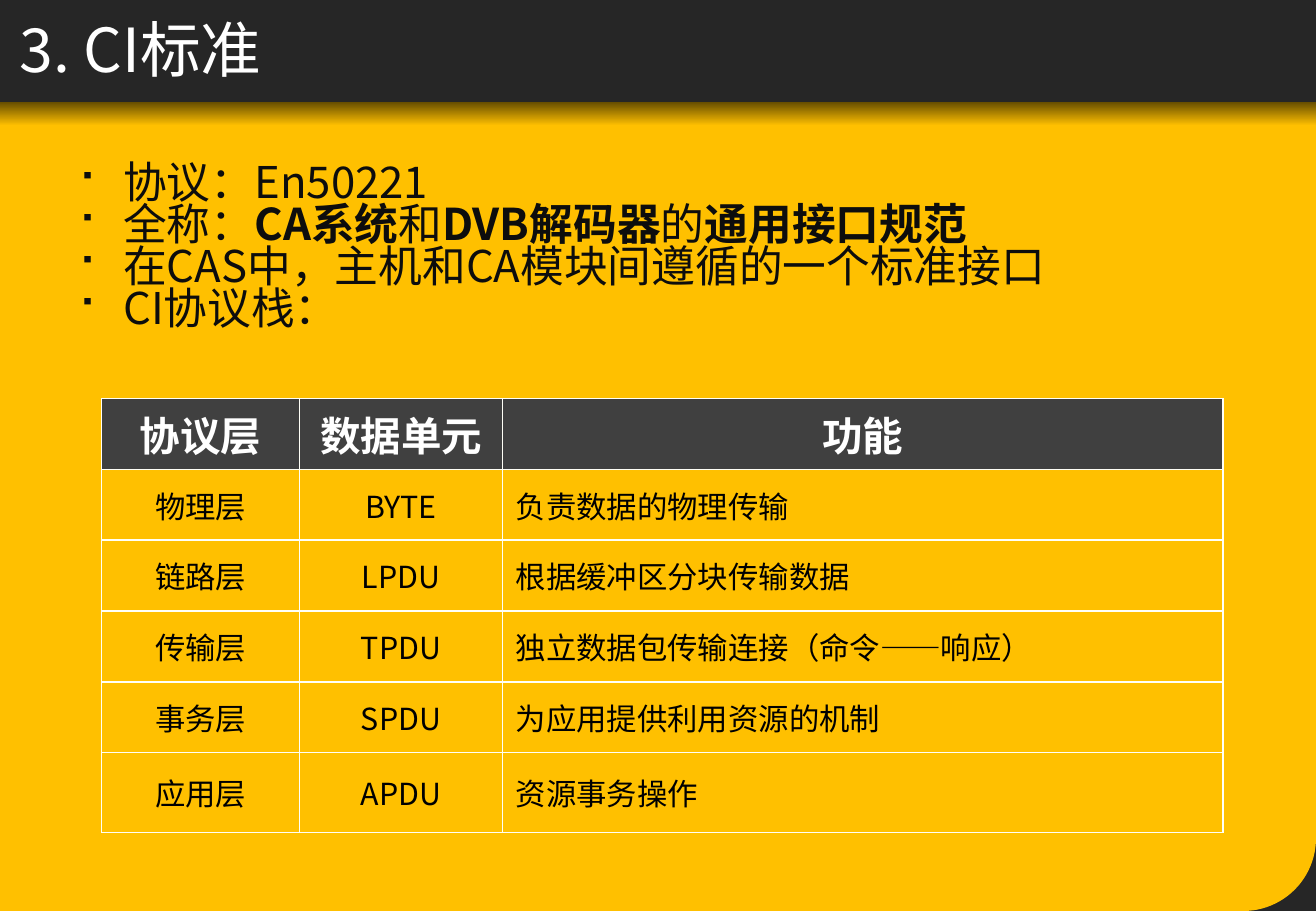
from lxml.etree import SubElement
from pptx import Presentation
from pptx.dml.color import RGBColor
from pptx.enum.shapes import MSO_SHAPE
from pptx.enum.text import MSO_ANCHOR, PP_ALIGN
from pptx.oxml.ns import qn
from pptx.util import Pt

COLORS = {
    "page": "FFFBFB", "dark": "262626", "gold": "FFC000", "shade": "664D00",
    "ink": "0D0D0D", "heading": "404040", "white": "FFFFFF", "black": "000000",
    "border": "FFFFF7",
}
FONT = "Noto Sans CJK SC"
WIDTH, HEIGHT, BAND = 780, 540, 60.5

BULLETS = [
    [("协议：En50221", False)],
    [("全称：", False), ("CA系统", True), ("和", False), ("DVB解码器", True),
     ("的", False), ("通用接口规范", True)],
    [("在CAS中，主机和CA模块间遵循的一个标准接口", False)],
    [("CI协议栈：", False)],
]
LAYERS = [
    ("协议层", "数据单元", "功能"),
    ("物理层", "BYTE", "负责数据的物理传输"),
    ("链路层", "LPDU", "根据缓冲区分块传输数据"),
    ("传输层", "TPDU", "独立数据包传输连接（命令——响应）"),
    ("事务层", "SPDU", "为应用提供利用资源的机制"),
    ("应用层", "APDU", "资源事务操作"),
]


def color(name):
    return RGBColor.from_string(COLORS[name])


def add_span(para, text, size, ink, bold=False):
    span = para.add_run()
    span.text = text
    span.font.size = Pt(size)
    span.font.bold = bold
    span.font.color.rgb = color(ink)
    span.font.name = FONT
    SubElement(span.font._element, qn("a:ea"), typeface=FONT)


def add_block(page, kind, box, fill):
    block = page.shapes.add_shape(kind, *map(Pt, box))
    block.shadow.inherit = False
    block.line.fill.background()
    block.fill.solid()
    block.fill.fore_color.rgb = color(fill)
    return block


def add_backdrop(page, box):
    left, top, width, height = box
    body = (left, top + BAND, width, height - BAND)
    add_block(page, MSO_SHAPE.RECTANGLE, body, "dark")
    panel = add_block(page, MSO_SHAPE.ROUND_1_RECTANGLE, body, "gold")
    panel.adjustments[0] = 0.09
    panel.rotation = 180
    panel._element.spPr.xfrm.set("flipH", "1")
    shade = add_block(page, MSO_SHAPE.RECTANGLE, (left, top + BAND, width, 14), "gold")
    shade.fill.gradient()
    shade.fill.gradient_angle = 270
    for stop, name, position in zip(shade.fill.gradient_stops, ("shade", "gold"), (0, 1)):
        stop.color.rgb = color(name)
        stop.position = position
    add_block(page, MSO_SHAPE.RECTANGLE, (left, top, width, BAND), "dark")


def add_title(page, box, text):
    title = page.shapes.title
    page.shapes._spTree.append(title._element)
    title.left, title.top, title.width, title.height = map(Pt, box)
    title.text_frame.vertical_anchor = MSO_ANCHOR.MIDDLE
    para = title.text_frame.paragraphs[0]
    para.alignment = PP_ALIGN.LEFT
    add_span(para, text, 36, "white")


def add_bullets(page, box, items):
    frame = page.shapes.add_textbox(*map(Pt, box)).text_frame
    frame.word_wrap = True
    for index, item in enumerate(items):
        para = frame.add_paragraph() if index else frame.paragraphs[0]
        para.line_spacing = 0.8
        properties = para._p.get_or_add_pPr()
        properties.set("marL", str(Pt(27)))
        properties.set("indent", str(-Pt(27)))
        SubElement(properties, qn("a:buFont"), typeface="Wingdings")
        SubElement(properties, qn("a:buChar"), char="■")
        for text, bold in item:
            add_span(para, text, 25.9, "ink", bold=bold)


def add_borders(cell):
    properties = cell._tc.get_or_add_tcPr()
    for index, side in enumerate(("lnL", "lnR", "lnT", "lnB")):
        line = properties.makeelement(qn(f"a:{side}"), {"w": str(Pt(1))})
        fill = SubElement(line, qn("a:solidFill"))
        SubElement(fill, qn("a:srgbClr"), val=COLORS["border"])
        properties.insert(index, line)


def add_layer_table(page, box, rows):
    table = page.shapes.add_table(len(rows), len(rows[0]), *map(Pt, box)).table
    for column, width in zip(table.columns, (117.4, 120.2, 427)):
        column.width = Pt(width)
    for row, height in zip(table.rows, [42] * 5 + [47.2]):
        row.height = Pt(height)
    for row_index, texts in enumerate(rows):
        header = row_index == 0
        for column_index, text in enumerate(texts):
            cell = table.cell(row_index, column_index)
            cell.margin_left = cell.margin_right = Pt(7.9)
            cell.vertical_anchor = MSO_ANCHOR.MIDDLE
            cell.fill.solid()
            cell.fill.fore_color.rgb = color("heading" if header else "gold")
            add_borders(cell)
            para = cell.text_frame.paragraphs[0]
            centered = header or column_index < 2
            para.alignment = PP_ALIGN.CENTER if centered else PP_ALIGN.LEFT
            add_span(para, text, 24 if header else 18,
                     "white" if header else "black", bold=header)


def main():
    deck = Presentation()
    deck.slide_width, deck.slide_height = Pt(WIDTH), Pt(HEIGHT)
    page = deck.slides.add_slide(deck.slide_layouts[5])
    page.background.fill.solid()
    page.background.fill.fore_color.rgb = color("page")
    add_backdrop(page, (0, 0, WIDTH, HEIGHT))
    add_title(page, (4.3, -7.9, 702, 72.7), "3. CI标准")
    add_bullets(page, (38.9, 94.3, 702, 136), BULLETS)
    add_layer_table(page, (60.2, 236.2, 664.6, 257.2), LAYERS)
    deck.save("out.pptx")


if __name__ == "__main__":
    main()
